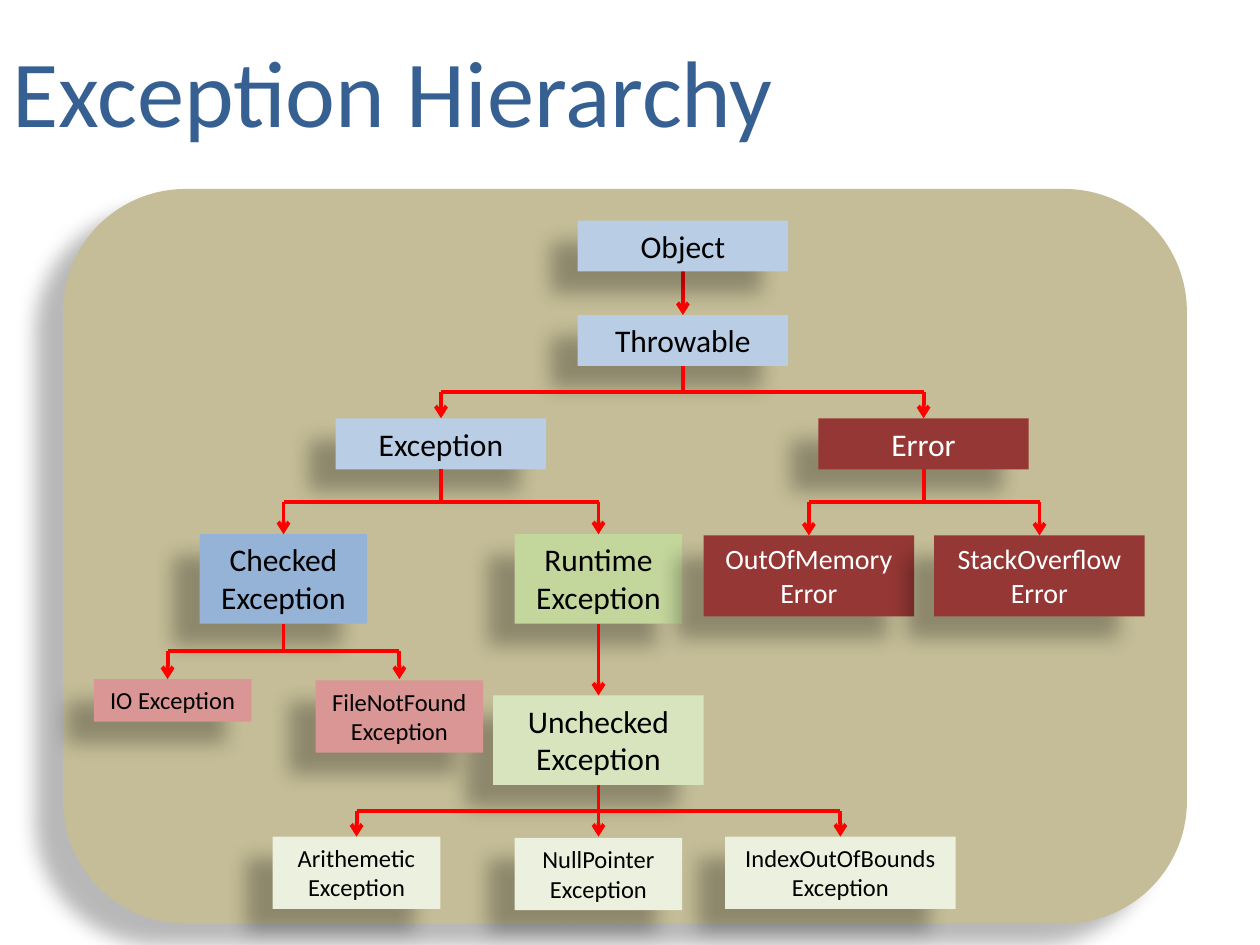
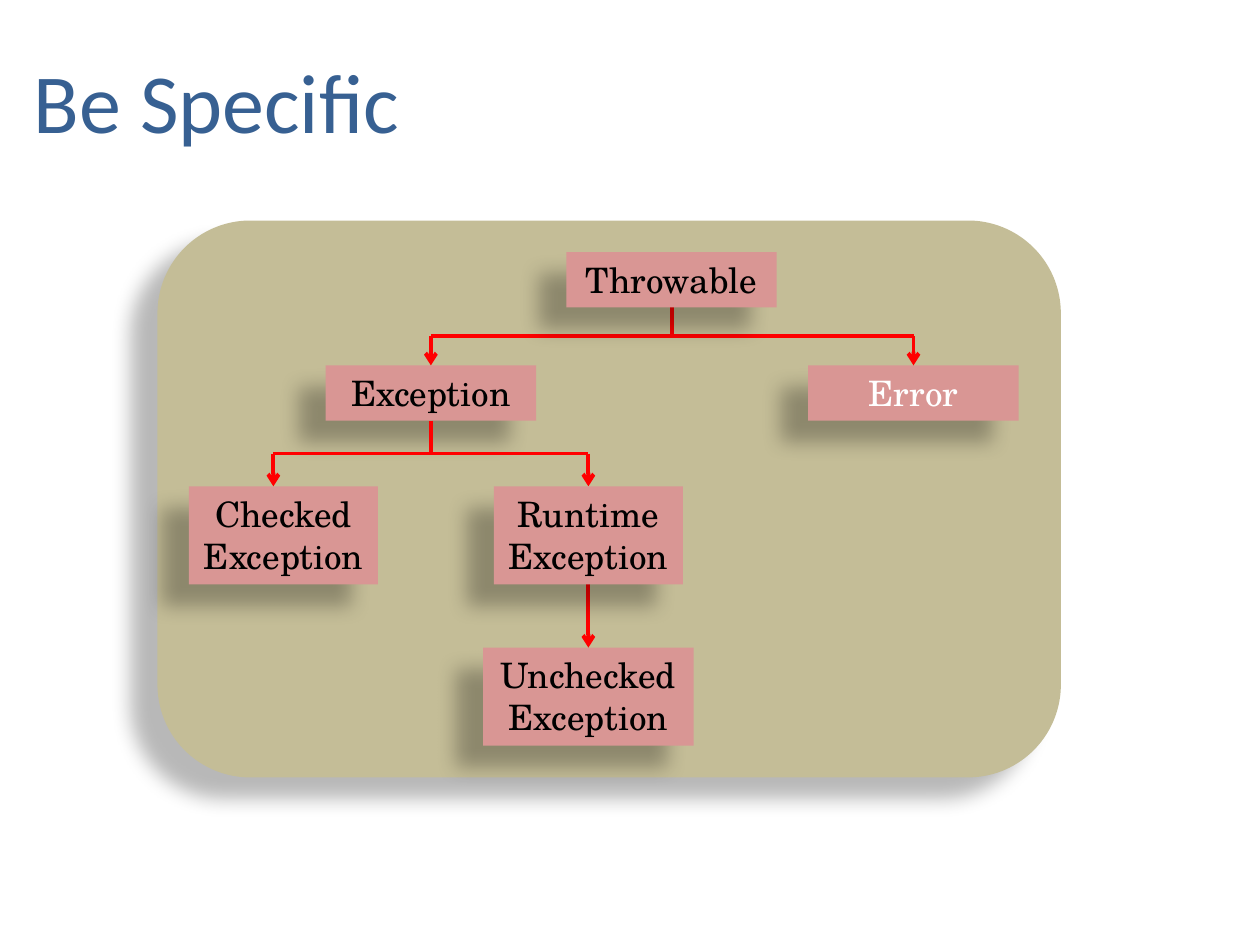
from dataclasses import dataclass
from lxml import etree
from pptx import Presentation
from pptx.dml.color import RGBColor
from pptx.enum.shapes import MSO_CONNECTOR as LINE, MSO_SHAPE as SHAPE
from pptx.enum.text import MSO_ANCHOR as ANCHOR, MSO_AUTO_SIZE as FIT, PP_ALIGN as ALIGN
from pptx.oxml.ns import qn
from pptx.util import Inches, Pt


@dataclass(frozen=True)
class Theme:
    title: str = "376092"
    panel: str = "C4BD97"
    link: str = "FF0000"
    dark: str = "000000"
    light: str = "FFFFFF"
    blue: str = "B9CDE5"
    deep_blue: str = "95B3D7"
    green: str = "C3D69B"
    soft_green: str = "D7E4BD"
    pale_green: str = "EBF1DE"
    pink: str = "D99694"
    red: str = "953735"
    sans: str = "Calibri"
    serif: str = "TeX Gyre Schola"
    huge: int = 54
    big: int = 48
    large: int = 20
    normal: int = 18
    medium: int = 16
    small: int = 14
    link_width: float = 2.25


T = Theme()


@dataclass
class Node:
    """A class box; x is its centre and y its top, relative to the panel."""
    text: str
    x: float
    y: float
    w: float
    fill: str
    size: int = T.normal
    lines: int = 1
    color: str = T.dark
    tap: float = 0  # shift of the incoming arrow from the centre

    @property
    def bottom(self):
        return self.y + 0.1 + self.lines * self.size / 59


def style_run(r, font, size, color):
    r.font.name, r.font.size = font, Pt(size)
    r.font.color.rgb = RGBColor.from_string(color)


def add_shadow(sp):
    sp.shadow.inherit = False
    effects = sp._element.spPr.find(qn("a:effectLst"))
    shadow = etree.SubElement(effects, qn("a:outerShdw"), blurRad=str(Pt(11.8)),
                              dist=str(Pt(19.7)), dir=str(141 * 60000),
                              algn="ctr", rotWithShape="0")
    color = etree.SubElement(shadow, qn("a:srgbClr"), val=T.dark)
    etree.SubElement(color, qn("a:alpha"), val="28000")


def add_block(shapes, kind, x, y, w, h, fill):
    sp = shapes.add_shape(kind, Inches(x), Inches(y), Inches(w), Inches(h))
    sp.fill.solid()
    sp.fill.fore_color.rgb = RGBColor.from_string(fill)
    sp.line.fill.background()
    add_shadow(sp)
    return sp


def add_title(s, text, x, y, size):
    tf = s.shapes.add_textbox(Inches(x), Inches(y), Inches(7.83), Inches(1.42)).text_frame
    tf.word_wrap = True
    tf.vertical_anchor = ANCHOR.MIDDLE
    tf.text = text
    style_run(tf.paragraphs[0].runs[0], T.sans, size, T.title)


def add_node(shapes, node, left, top, font):
    sp = add_block(shapes, SHAPE.RECTANGLE, left + node.x - node.w / 2, top + node.y,
                   node.w, node.bottom - node.y, node.fill)
    tf = sp.text_frame
    tf.word_wrap = True
    tf.auto_size = FIT.SHAPE_TO_FIT_TEXT
    tf.vertical_anchor = ANCHOR.TOP
    tf.text = node.text
    p = tf.paragraphs[0]
    p.alignment = ALIGN.CENTER
    style_run(p.runs[0], font, node.size, node.color)


def add_line(shapes, x1, y1, x2, y2, arrow=False):
    cx = shapes.add_connector(LINE.STRAIGHT, Inches(x1), Inches(y1), Inches(x2), Inches(y2))
    cx.line.color.rgb = RGBColor.from_string(T.link)
    cx.line.width = Pt(T.link_width)
    if arrow:
        etree.SubElement(cx.line._get_or_add_ln(), qn("a:tailEnd"), type="arrow")
    etree.SubElement(cx._element.spPr, qn("a:effectLst"))


def add_branch(shapes, parent, children, left, top):
    """Stem, crossbar halfway down, and one arrow for each child."""
    x, start = left + parent.x, top + parent.bottom
    end = top + min(child.y for child in children)
    if len(children) == 1:
        add_line(shapes, x, start, x, end, arrow=True)
        return
    bar = (start + end) / 2
    add_line(shapes, x, start, x, bar)
    for child in children:
        child_x = left + child.x + child.tap
        if child.x != parent.x:
            add_line(shapes, x, bar, child_x, bar)
        add_line(shapes, child_x, bar, child_x, end, arrow=True)


def add_tree(s, box, nodes, links, font, front):
    """Panel with a class tree; nodes named in front lie above the links."""
    left, top, w, h = box
    shapes = s.shapes.add_group_shape().shapes
    add_block(shapes, SHAPE.ROUNDED_RECTANGLE, left, top, w, h, T.panel)
    by_name = {node.text: node for node in nodes}
    for node in nodes:
        if node.text not in front:
            add_node(shapes, node, left, top, font)
    for parent, children in links.items():
        add_branch(shapes, by_name[parent], [by_name[c] for c in children], left, top)
    for name in front:
        add_node(shapes, by_name[name], left, top, font)


def hierarchy_slide(s):
    add_title(s, "Exception Hierarchy", 0, 0, T.huge)
    nodes = [
        Node("Object", 4.92, 0.25, 1.67, T.blue),
        Node("Throwable", 4.92, 1, 1.67, T.blue),
        Node("Exception", 3, 1.82, 1.67, T.blue),
        Node("Error", 6.83, 1.82, 1.67, T.red, color=T.light),
        Node("Checked Exception", 1.75, 2.74, 1.33, T.deep_blue, lines=2),
        Node("Runtime Exception", 4.25, 2.74, 1.33, T.green, lines=2),
        Node("OutOfMemory Error", 5.92, 2.75, 1.67, T.red, T.medium, 2, T.light),
        Node("Unchecked Exception", 4.25, 4.02, 1.67, T.soft_green, lines=2),
        Node("NullPointer Exception", 4.25, 5.15, 1.33, T.pale_green, T.small, 2),
        Node("IndexOutOfBounds Exception", 6.17, 5.14, 1.83, T.pale_green, T.small, 2),
        Node("IO Exception", 0.87, 3.89, 1.25, T.pink, T.small, tap=-0.04),
        Node("FileNotFound Exception", 2.67, 3.9, 1.33, T.pink, T.small, 2),
        Node("Arithemetic Exception", 2.33, 5.14, 1.33, T.pale_green, T.small, 2),
        Node("StackOverflow Error", 7.75, 2.75, 1.67, T.red, T.medium, 2, T.light),
    ]
    links = {
        "Object": ["Throwable"],
        "Throwable": ["Exception", "Error"],
        "Exception": ["Checked Exception", "Runtime Exception"],
        "Error": ["OutOfMemory Error", "StackOverflow Error"],
        "Checked Exception": ["IO Exception", "FileNotFound Exception"],
        "Runtime Exception": ["Unchecked Exception"],
        "Unchecked Exception": ["Arithemetic Exception", "NullPointer Exception",
                                "IndexOutOfBounds Exception"],
    }
    add_tree(s, (0.5, 1.5, 8.92, 5.83), nodes, links, T.sans, ["Object"])


def specific_slide(s):
    add_title(s, "Be Specific", 0.17, 0.08, T.big)
    nodes = [
        Node("Throwable", 4.08, 0.25, 1.67, T.pink, T.large),
        Node("Exception", 2.17, 1.15, 1.67, T.pink, T.large),
        Node("Error", 6, 1.15, 1.67, T.pink, T.large, color=T.light),
        Node("Checked Exception", 1, 2.11, 1.5, T.pink, T.large, 2, tap=-0.08),
        Node("Runtime Exception", 3.42, 2.11, 1.5, T.pink, T.large, 2),
        Node("Unchecked Exception", 3.42, 3.39, 1.67, T.pink, T.large, 2),
    ]
    links = {
        "Throwable": ["Exception", "Error"],
        "Exception": ["Checked Exception", "Runtime Exception"],
        "Runtime Exception": ["Unchecked Exception"],
    }
    add_tree(s, (1.25, 1.75, 7.17, 4.42), nodes, links, T.serif,
             ["Throwable", "Runtime Exception"])


prs = Presentation()
prs.slide_width, prs.slide_height = Inches(10), Inches(7.5)
for build in (hierarchy_slide, specific_slide):
    build(prs.slides.add_slide(prs.slide_layouts[6]))
prs.save("out.pptx")
